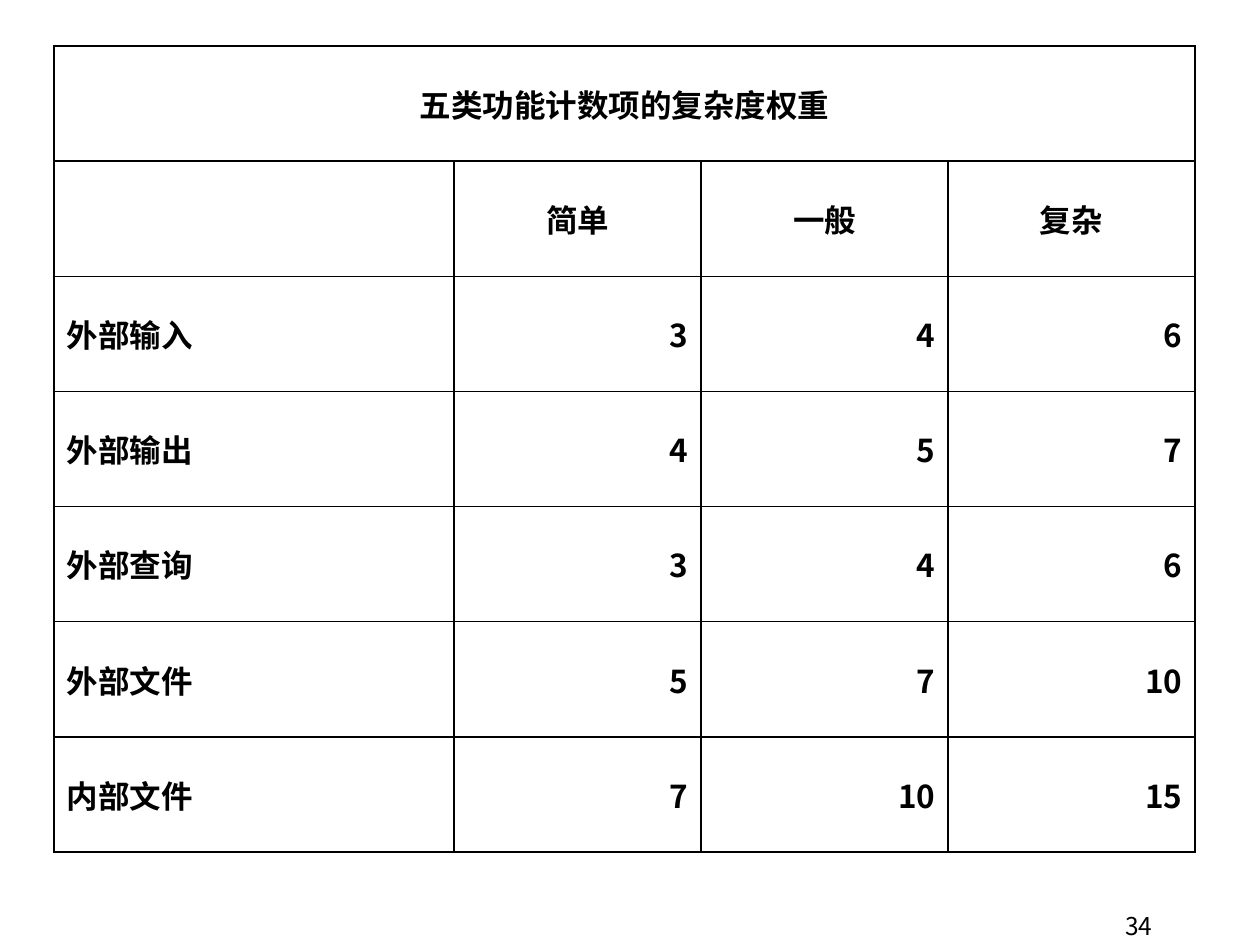
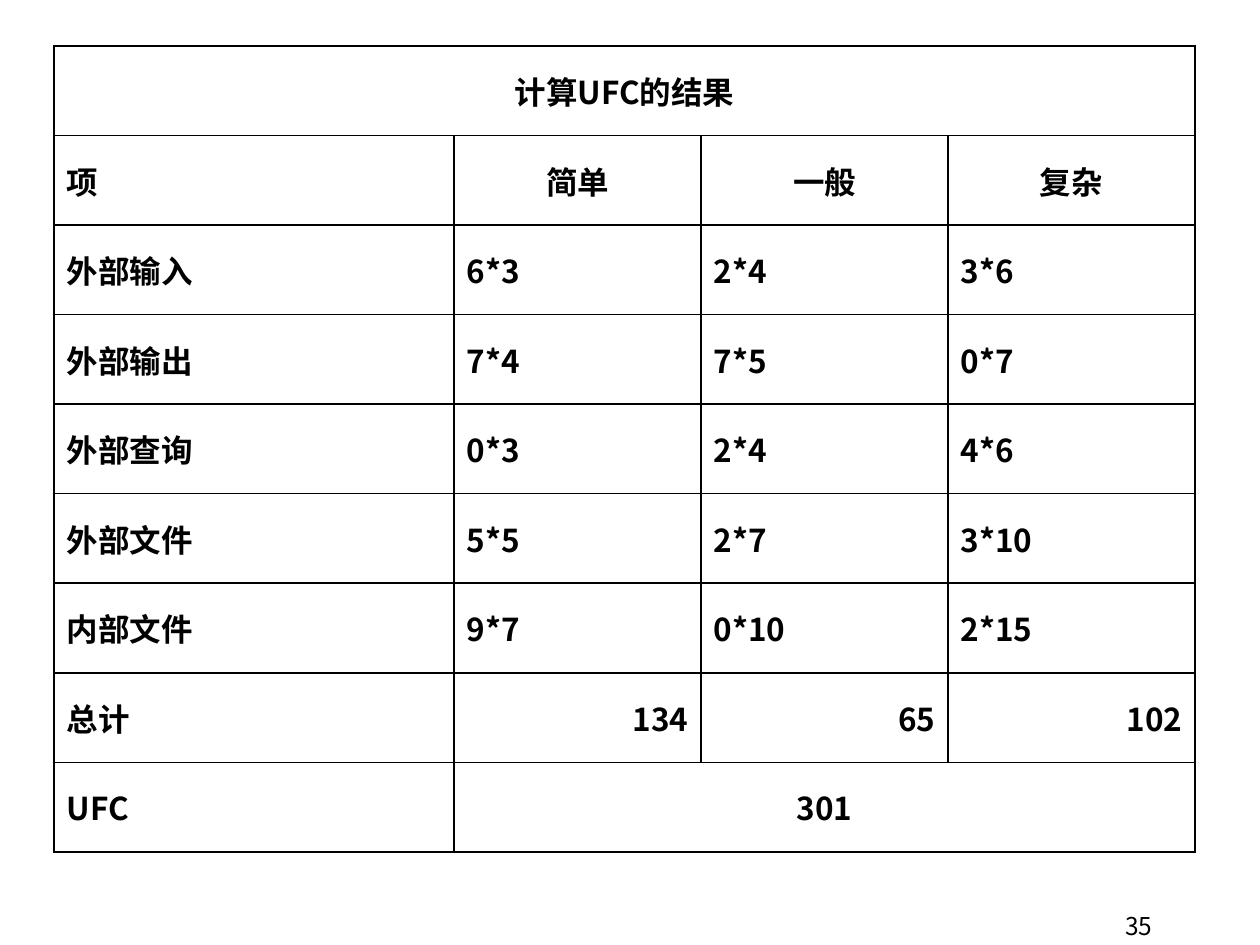
from lxml.etree import SubElement
from pptx import Presentation
from pptx.dml.color import RGBColor
from pptx.enum.text import MSO_ANCHOR, PP_ALIGN
from pptx.oxml import parse_xml
from pptx.oxml.ns import nsdecls, qn
from pptx.util import Emu, Pt

BLACK = RGBColor(0x00, 0x00, 0x00)
TABLE_FONT = "Noto Sans CJK SC"
NUMBER_FONT = "Noto Sans CJK KR"
LEFT, CENTER, RIGHT = PP_ALIGN.LEFT, PP_ALIGN.CENTER, PP_ALIGN.RIGHT
COLUMN_WIDTHS = [400, 247, 247, 247]
TABLE_LEFT, TABLE_TOP, TABLE_HEIGHT = 54, 46, 806
HANGING_INDENT = 48
LEVELS = ["简单", "一般", "复杂"]

WEIGHT_ROWS = [
    (CENTER, ["五类功能计数项的复杂度权重"]),
    (CENTER, ["", *LEVELS]),
    (RIGHT, ["外部输入", "3", "4", "6"]),
    (RIGHT, ["外部输出", "4", "5", "7"]),
    (RIGHT, ["外部查询", "3", "4", "6"]),
    (RIGHT, ["外部文件", "5", "7", "10"]),
    (RIGHT, ["内部文件", "7", "10", "15"]),
]
RESULT_ROWS = [
    (CENTER, ["计算UFC的结果"]),
    (CENTER, ["项", *LEVELS]),
    (LEFT, ["外部输入", "6*3", "2*4", "3*6"]),
    (LEFT, ["外部输出", "7*4", "7*5", "0*7"]),
    (LEFT, ["外部查询", "0*3", "2*4", "4*6"]),
    (LEFT, ["外部文件", "5*5", "2*7", "3*10"]),
    (LEFT, ["内部文件", "9*7", "0*10", "2*15"]),
    (RIGHT, ["总计", "134", "65", "102"]),
    (CENTER, ["UFC", "301"]),
]


def px(length):
    return Emu(round(length * 914400 / 126))


class TableDeck:
    def __init__(self):
        self.deck = Presentation()
        self.deck.slide_width = px(1260)
        self.deck.slide_height = px(945)
        self.page = None

    def add_page(self, number):
        self.page = self.deck.slides.add_slide(self.deck.slide_layouts[6])
        box = self.page.shapes.add_textbox(px(903), px(911), px(262), px(34))
        frame = box.text_frame
        frame.word_wrap = True
        frame.margin_top = frame.margin_bottom = 0
        frame.paragraphs[0].alignment = RIGHT
        self.add_span(frame.paragraphs[0], str(number), 14, NUMBER_FONT)

    def add_span(self, para, text, size, font, bold=False):
        span = para.add_run()
        span.text = text
        span.font.size = Pt(size)
        span.font.bold = bold
        span.font.color.rgb = BLACK
        span.font.name = font
        SubElement(span.font._element, qn("a:ea"), typeface=font)

    def add_borders(self, cell):
        properties = cell._tc.get_or_add_tcPr()
        for position, side in enumerate("LRTB"):
            properties.insert(position, parse_xml(
                f'<a:ln{side} {nsdecls("a")} w="{Pt(1)}"><a:solidFill>'
                f'<a:srgbClr val="{BLACK}"/></a:solidFill></a:ln{side}>'))

    def fill_cell(self, cell, text, alignment):
        cell.vertical_anchor = MSO_ANCHOR.MIDDLE
        para = cell.text_frame.paragraphs[0]
        para.alignment = alignment
        properties = para._p.get_or_add_pPr()
        properties.set("marL", str(px(HANGING_INDENT)))
        properties.set("indent", str(-px(HANGING_INDENT)))
        if text:
            self.add_span(para, text, 18, TABLE_FONT, bold=True)

    def add_table(self, rows):
        last = len(COLUMN_WIDTHS) - 1
        table = self.page.shapes.add_table(
            len(rows), len(COLUMN_WIDTHS), px(TABLE_LEFT), px(TABLE_TOP),
            px(sum(COLUMN_WIDTHS)), px(TABLE_HEIGHT)).table
        table.first_row = table.horz_banding = False
        for column, width in zip(table.columns, COLUMN_WIDTHS):
            column.width = px(width)
        for row in table.rows:
            row.height = px(TABLE_HEIGHT / len(rows))
        for cell in table.iter_cells():
            cell.fill.background()
            self.add_borders(cell)
        for row_index, (alignment, texts) in enumerate(rows):
            end = len(texts) - 1
            if end < last:
                table.cell(row_index, end).merge(table.cell(row_index, last))
            for column_index, text in enumerate(texts):
                is_label = column_index == 0 and end > 0
                self.fill_cell(table.cell(row_index, column_index), text,
                               LEFT if is_label else alignment)


def main():
    builder = TableDeck()
    for number, rows in enumerate([WEIGHT_ROWS, RESULT_ROWS], start=34):
        builder.add_page(number)
        builder.add_table(rows)
    builder.deck.save("out.pptx")


if __name__ == "__main__":
    main()
